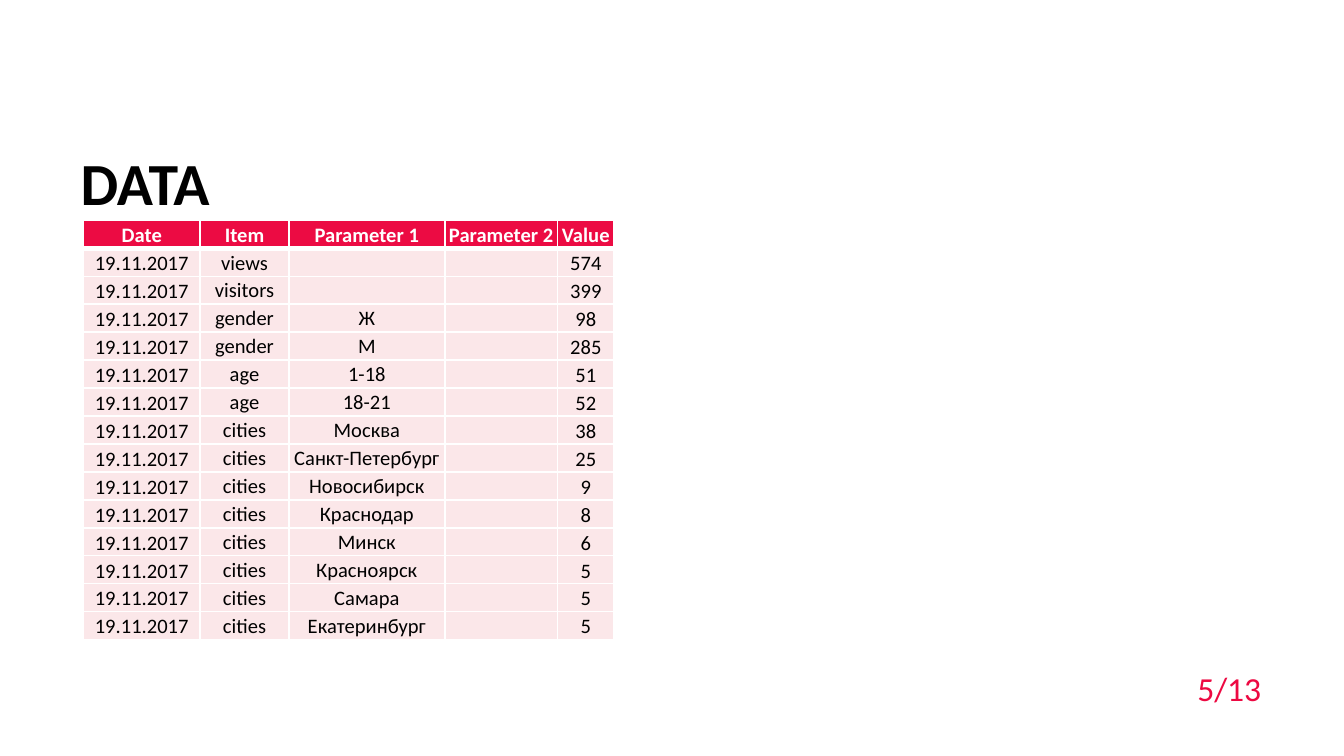
from lxml import etree
from pptx import Presentation
from pptx import util as u
from pptx.dml.color import RGBColor
from pptx.enum import text
from pptx.oxml.ns import qn

# Content
TITLE = "DATA"
PAGE = "5/13"
DATE = "19.11.2017"
HEADER = ("Date", "Item", "Parameter 1", "Parameter 2", "Value")
RECORDS = [
    ("views", "", "574"),
    ("visitors", "", "399"),
    ("gender", "Ж", "98"),
    ("gender", "М", "285"),
    ("age", "1-18", "51"),
    ("age", "18-21", "52"),
    ("cities", "Москва", "38"),
    ("cities", "Санкт-Петербург", "25"),
    ("cities", "Новосибирск", "9"),
    ("cities", "Краснодар", "8"),
    ("cities", "Минск", "6"),
    ("cities", "Красноярск", "5"),
    ("cities", "Самара", "5"),
    ("cities", "Екатеринбург", "5"),
]
ROWS = [HEADER] + [(DATE, item, param, "", value) for item, param, value in RECORDS]

# Look and layout
COLORS = {"title": "000000", "page": "ED0942", "header": "EC0B43",
          "body": "FBE7E9", "text": "000000", "white": "FFFFFF"}
FONT = "Calibri"
WIDTH, HEIGHT = 10, 10 * 9 / 16
COLUMNS = (0.87, 0.66, 1.16, 0.84, 0.42)
TABLE_LEFT, TABLE_TOP, TABLE_HEIGHT = 0.62, 1.64, 3.12
CELL_SIZE = 11
LEFT, CENTER = text.PP_ALIGN.LEFT, text.PP_ALIGN.CENTER
MIDDLE, BOTTOM = text.MSO_ANCHOR.MIDDLE, text.MSO_ANCHOR.BOTTOM


def set_all(obj, **values):
    for name, value in values.items():
        setattr(obj, name, value)


def write(p, words, size, color, bold=False, align=LEFT):
    p.alignment = align
    r = p.add_run()
    r.text = words
    set_all(r.font, name=FONT, size=u.Pt(size), bold=bold)
    r.font.color.rgb = RGBColor.from_string(COLORS[color])


def add_border(cell, side, points):
    ln = etree.SubElement(cell._tc.get_or_add_tcPr(), qn(f"a:ln{side}"),
                          w=str(u.Pt(points)))
    fill = etree.SubElement(ln, qn("a:solidFill"))
    etree.SubElement(fill, qn("a:srgbClr"), val=COLORS["white"])


prs = Presentation()
set_all(prs, slide_width=u.Inches(WIDTH), slide_height=u.Inches(HEIGHT))
s = prs.slides.add_slide(prs.slide_layouts[5])

# Title
sp = s.shapes.title
set_all(sp, left=u.Inches(0.5), top=u.Inches(1.01),
        width=u.Inches(6.86), height=u.Inches(0.68))
set_all(sp.text_frame, vertical_anchor=MIDDLE, auto_size=text.MSO_AUTO_SIZE.NONE)
write(sp.text_frame.paragraphs[0], TITLE, 32, "title", bold=True)

# Page number
sp = s.shapes.add_textbox(*map(u.Inches, (8.81, 4.92, 0.68, 0.4)))
set_all(sp.text_frame, word_wrap=False,
        auto_size=text.MSO_AUTO_SIZE.SHAPE_TO_FIT_TEXT)
write(sp.text_frame.paragraphs[0], PAGE, 18, "page")

# Table
box = (TABLE_LEFT, TABLE_TOP, sum(COLUMNS), TABLE_HEIGHT)
table = s.shapes.add_table(len(ROWS), len(COLUMNS), *map(u.Inches, box)).table
table.horz_banding = False
for column, width in zip(table.columns, COLUMNS):
    column.width = u.Inches(width)

for i, row in enumerate(ROWS):
    table.rows[i].height = u.Inches(TABLE_HEIGHT / len(ROWS))
    head = i == 0
    borders = {"L": 1, "R": 1, "T": 3 if i == 1 else 1, "B": 3 if head else 1}
    for j, words in enumerate(row):
        cell = table.cell(i, j)
        edge = j in (0, len(COLUMNS) - 1)
        set_all(cell, margin_left=u.Inches(0.01), margin_right=u.Inches(0.01),
                margin_top=u.Inches(0.01), margin_bottom=0,
                vertical_anchor=BOTTOM if edge and not head else MIDDLE)
        for side, points in borders.items():
            add_border(cell, side, points)
        cell.fill.solid()
        cell.fill.fore_color.rgb = RGBColor.from_string(
            COLORS["header" if head else "body"])
        p = cell.text_frame.paragraphs[0]
        if words:
            write(p, words, CELL_SIZE, "white" if head else "text", head, CENTER)
        else:  # keeps empty cells from stretching the row
            etree.SubElement(p._p, qn("a:endParaRPr"), sz=str(CELL_SIZE * 100))

prs.save("out.pptx")
